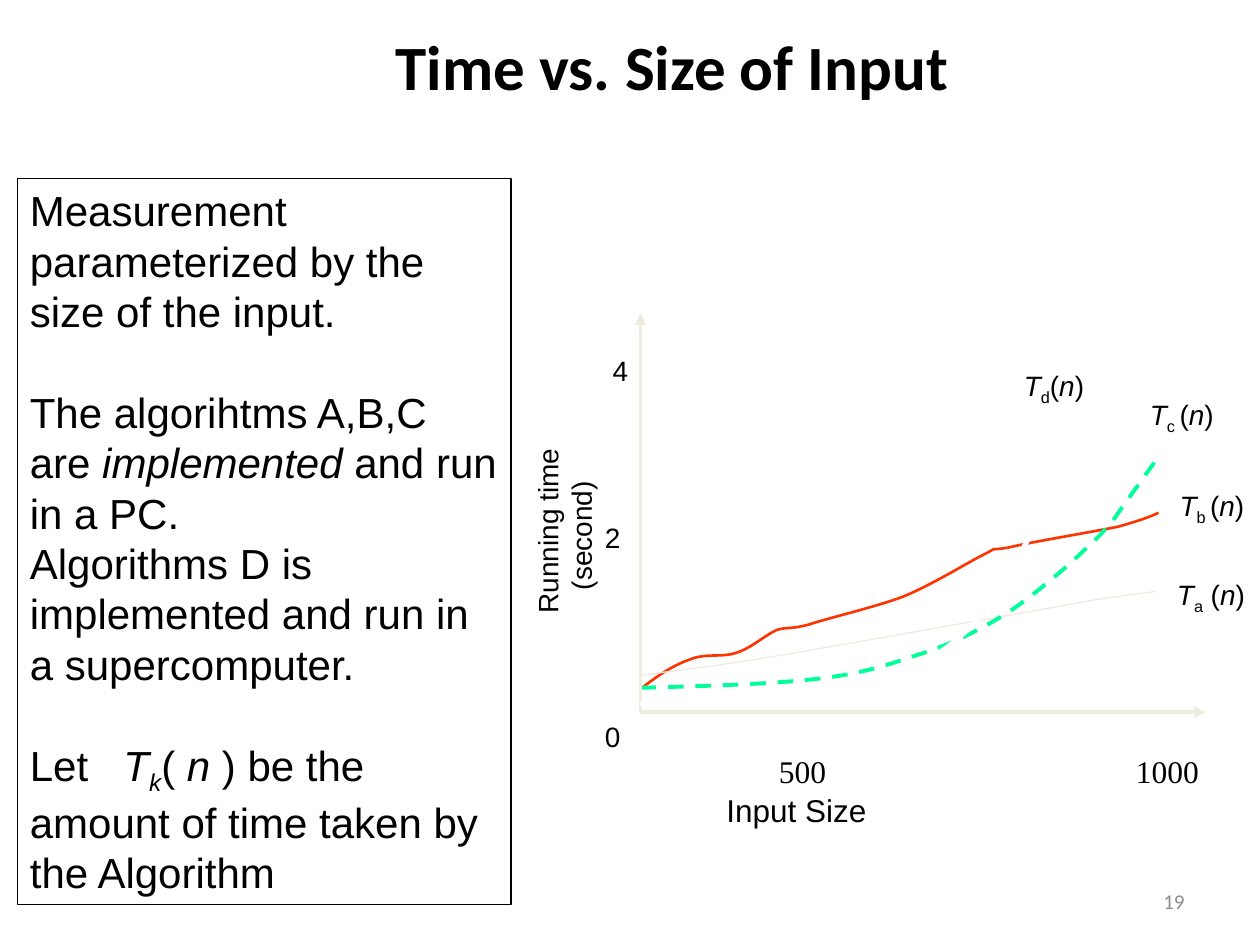
import pptx
import pptx.dml.color
import pptx.enum.dml
import pptx.enum.shapes
import pptx.enum.text
import pptx.oxml
import pptx.oxml.ns
import pptx.util

Pt = pptx.util.Pt
RGBColor = pptx.dml.color.RGBColor
ALIGN = pptx.enum.text.PP_ALIGN
DASH = pptx.enum.dml.MSO_LINE

BLACK = RGBColor(0x00, 0x00, 0x00)
GRAY = RGBColor(0x8C, 0x8C, 0x8C)
CREAM = RGBColor(0xEE, 0xEC, 0xE1)
ORANGE = RGBColor(0xFF, 0x33, 0x00)
GREEN = RGBColor(0x00, 0xFF, 0x99)
WHITE = RGBColor(0xFF, 0xFF, 0xFF)

NOTES = [
    [("Measurement parameterized by the size of the input.", "")],
    [("The algorihtms A,B,C are ", ""), ("implemented", "italic"),
     (" and run in a PC.", "")],
    [("Algorithms D is implemented and run in a supercomputer.", "")],
    [("Let\t", ""), ("T", "italic"), ("k", "italic sub"), ("(", ""),
     (" n", "italic"), (" ) be the amount of time taken by the Algorithm", "")],
]
SPACED_NOTES = (1, 3)

CURVES = [
    (ORANGE, 1.5, DASH.SOLID, [
        (1, 214), (10, 207), (19, 201), (28, 198), (37, 194), (47, 197), (55, 194),
        (64, 191), (71, 184), (78, 181), (85, 179), (84, 181), (96, 178),
        (108, 174), (134, 168), (150, 162), (167, 155), (186, 143), (196, 138),
        (206, 133), (197, 136), (210, 134), (222, 131), (258, 125), (273, 122),
        (287, 118), (292, 116), (296, 114)]),
    (CREAM, 0.75, DASH.SOLID, [
        (0, 207), (13, 205), (25, 204), (58, 199), (91, 194), (162, 181), (197, 175),
        (231, 169), (247, 166), (264, 163), (279, 161), (287, 160), (294, 159)]),
    (GREEN, 2.25, DASH.DASH, [
        (0, 214), (37, 213), (73, 212), (100, 209), (127, 206), (141, 201), (159, 195),
        (178, 189), (194, 181), (210, 171), (225, 161), (245, 144), (255, 134),
        (265, 125), (261, 128), (269, 120), (275, 111), (286, 96), (296, 82)]),
    (WHITE, 3, DASH.SOLID, [
        (0, 223), (64, 222), (127, 222), (168, 196), (210, 169), (228, 118), (246, 63)]),
]

AXIS_LABELS = [
    ("4", -23, 19.5, 27, 26, "Arial", 16),
    ("2", -27.5, 115, 23, 26, "Arial", 16),
    ("0", -27.5, 228.5, 23, 26, "Arial", 16),
    ("500", 72, 247, 45, 31, "Times New Roman", 18),
    ("1000", 276, 247, 55, 31, "Times New Roman", 18),
    ("Input Size", 42, 269.5, 124, 31, "Arial", 18),
]

CURVE_LABELS = [
    ("a", " (", 299.5, 147.5, 55, 27),
    ("b ", "(", 301, 96.5, 53, 27),
    ("c ", "(", 284, 44.5, 51, 26),
    ("d", "(", 212, 28, 49, 26),
]


def format_font(font, name, size, color=BLACK):
    font.name = name
    font.size = Pt(size)
    font.color.rgb = color


def add_runs(paragraph, runs, name, size):
    for text, style in runs:
        run = paragraph.add_run()
        run.text = text
        format_font(run.font, name, size)
        if "italic" in style:
            run.font.italic = True
        if "sub" in style:
            run._r.get_or_add_rPr().set("baseline", "-25000")


def add_text_box(slide, left, top, width, height, wrap=False):
    shape = slide.shapes.add_textbox(Pt(left), Pt(top), Pt(width), Pt(height))
    shape.text_frame.word_wrap = wrap
    if not wrap:
        shape.text_frame.auto_size = pptx.enum.text.MSO_AUTO_SIZE.SHAPE_TO_FIT_TEXT
    return shape


def add_title(slide, left, top, width, height):
    title = slide.shapes.title
    title.left, title.top = Pt(left), Pt(top)
    title.width, title.height = Pt(width), Pt(height)
    title.text_frame.text = "Time vs. Size of Input"
    title.text_frame.vertical_anchor = pptx.enum.text.MSO_ANCHOR.MIDDLE
    paragraph = title.text_frame.paragraphs[0]
    paragraph.alignment = ALIGN.CENTER
    format_font(paragraph.runs[0].font, "Calibri", 36)
    paragraph.runs[0].font.bold = True


def add_notes_panel(slide, left, top, width, height):
    shape = add_text_box(slide, left, top, width, height, wrap=True)
    shape.line.color.rgb = BLACK
    shape.line.width = Pt(0.75)
    frame = shape.text_frame
    for index, runs in enumerate(NOTES):
        paragraph = frame.add_paragraph() if index else frame.paragraphs[0]
        if index in SPACED_NOTES:
            paragraph.space_before = Pt(28.8)
        add_runs(paragraph, runs, "Arial", 24)
    tabs = pptx.oxml.parse_xml(
        f'<a:tabLst {pptx.oxml.ns.nsdecls("a")}><a:tab pos="{Pt(53.5)}" algn="l"/></a:tabLst>')
    paragraph._p.get_or_add_pPr().append(tabs)


def add_curve(slide, left, top, color, width, dash, points):
    placed = [(Pt(left + x), Pt(top + y)) for x, y in points]
    builder = slide.shapes.build_freeform(*placed[0])
    builder.add_line_segments(placed[1:], close=False)
    shape = builder.convert_to_shape()
    segments = shape._element.xpath(".//a:lnTo")
    for start in range(0, len(segments), 3):
        bezier = pptx.oxml.parse_xml(f'<a:cubicBezTo {pptx.oxml.ns.nsdecls("a")}/>')
        segments[start].addprevious(bezier)
        for segment in segments[start:start + 3]:
            bezier.append(segment[0])
            segment.getparent().remove(segment)
    shape.shadow.inherit = False
    shape.fill.background()
    shape.line.color.rgb = color
    shape.line.width = Pt(width)
    shape.line.dash_style = dash


def add_axis(slide, start_x, start_y, end_x, end_y):
    axis = slide.shapes.add_connector(
        pptx.enum.shapes.MSO_CONNECTOR.STRAIGHT,
        Pt(start_x), Pt(start_y), Pt(end_x), Pt(end_y))
    axis.line.color.rgb = CREAM
    axis.line.width = Pt(2.25)
    namespace = pptx.oxml.ns.nsdecls("a")
    axis.line._get_or_add_ln().append(
        pptx.oxml.parse_xml(f'<a:tailEnd {namespace} type="triangle"/>'))
    axis._element.spPr.append(pptx.oxml.parse_xml(f'<a:effectLst {namespace}/>'))


def add_vertical_title(slide, left, top, width, height):
    shape = add_text_box(slide, left, top, width, height, wrap=True)
    shape.rotation = 270
    shape.text_frame.text = "Running time\n(second)"
    for paragraph in shape.text_frame.paragraphs:
        format_font(paragraph.runs[0].font, "Arial", 16)
    paragraph._p.get_or_add_pPr().set("marL", str(Pt(13.3)))


def add_growth_plot(slide, left, top, width, height):
    bottom = top + height
    for curve in CURVES[:-1]:
        add_curve(slide, left, top, *curve)
    add_axis(slide, left, bottom, left + width, bottom)
    add_axis(slide, left, bottom, left, top)
    add_curve(slide, left, top, *CURVES[-1])
    for text, x, y, box_width, box_height, name, size in AXIS_LABELS:
        shape = add_text_box(slide, left + x, top + y, box_width, box_height)
        shape.text_frame.text = text
        format_font(shape.text_frame.paragraphs[0].runs[0].font, name, size)
    for subscript, bracket, x, y, box_width, box_height in CURVE_LABELS:
        shape = add_text_box(slide, left + x, top + y, box_width, box_height)
        runs = [("T", "italic"), (subscript, "sub"), (bracket, ""), ("n", "italic"), (")", "")]
        add_runs(shape.text_frame.paragraphs[0], runs, "Arial", 16)
    add_vertical_title(slide, left - 119, top + 81, 150, 45)


def add_page_number(slide, left, top, width, height):
    shape = add_text_box(slide, left, top, width, height, wrap=True)
    shape.text_frame.text = "19"
    shape.text_frame.vertical_anchor = pptx.enum.text.MSO_ANCHOR.MIDDLE
    paragraph = shape.text_frame.paragraphs[0]
    paragraph.alignment = ALIGN.RIGHT
    format_font(paragraph.runs[0].font, "Calibri", 12, GRAY)


def main():
    presentation = pptx.Presentation()
    presentation.slide_width, presentation.slide_height = Pt(720), Pt(540)
    slide = presentation.slides.add_slide(presentation.slide_layouts[5])
    add_title(slide, 114, 16.5, 540, 42)
    add_page_number(slide, 516, 500.5, 168, 28.8)
    add_notes_panel(slide, 10, 102, 282, 415)
    add_growth_plot(slide, 366, 179, 323, 228)
    presentation.save("out.pptx")


if __name__ == "__main__":
    main()
